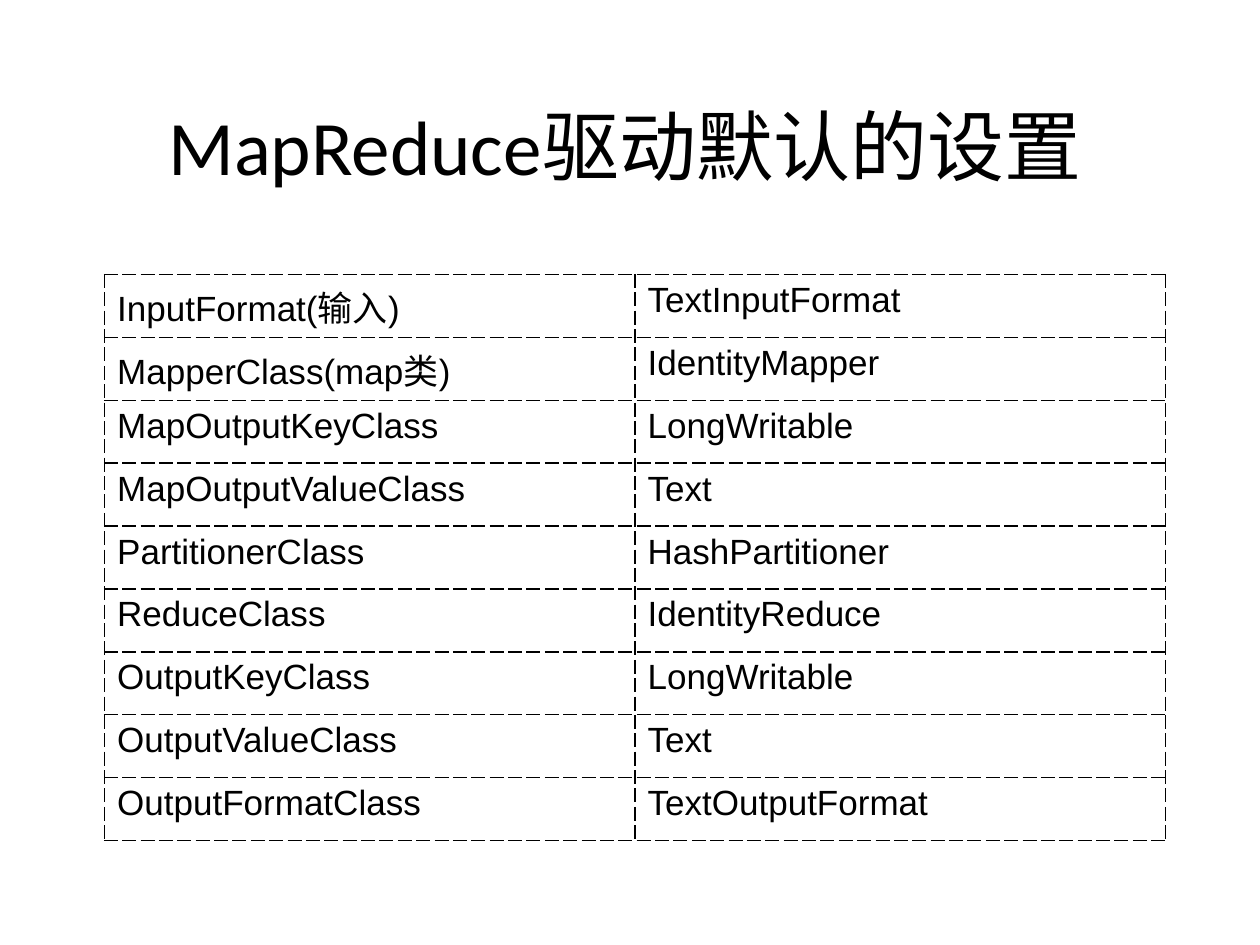
from typing import NamedTuple

from lxml import etree
from pptx import Presentation
from pptx.dml.color import RGBColor
from pptx.enum import text as t
from pptx.oxml import ns
from pptx.util import Inches, Pt

BLACK = RGBColor(0, 0, 0)
WHITE = RGBColor(255, 255, 255)


class Pair(NamedTuple):
    key: str
    value: str


PAIRS = [
    Pair("InputFormat(输入)", "TextInputFormat"),
    Pair("MapperClass(map类)", "IdentityMapper"),
    Pair("MapOutputKeyClass", "LongWritable"),
    Pair("MapOutputValueClass", "Text"),
    Pair("PartitionerClass", "HashPartitioner"),
    Pair("ReduceClass", "IdentityReduce"),
    Pair("OutputKeyClass", "LongWritable"),
    Pair("OutputValueClass", "Text"),
    Pair("OutputFormatClass", "TextOutputFormat"),
]


def set_font(para, name: str, size: int) -> None:
    para.font.name = name
    para.font.size = Pt(size)
    para.font.color.rgb = BLACK


def add_title(slide, words: str) -> None:
    box = slide.shapes.add_textbox(Inches(0.75), Inches(0.36), Inches(8.42), Inches(1.57))
    frame = box.text_frame
    frame.word_wrap = True
    frame.vertical_anchor = t.MSO_ANCHOR.MIDDLE
    para = frame.paragraphs[0]
    para.text = words
    para.alignment = t.PP_ALIGN.CENTER
    set_font(para, "Calibri", 44)


def add_edges(cell) -> None:
    """Give the cell a thin dashed line on all four sides."""
    props = cell._tc.get_or_add_tcPr()
    for i, side in enumerate(("lnL", "lnR", "lnT", "lnB")):
        line = etree.Element(ns.qn(f"a:{side}"), w=str(Pt(1)))
        fill = etree.SubElement(line, ns.qn("a:solidFill"))
        etree.SubElement(fill, ns.qn("a:srgbClr"), val=str(BLACK))
        etree.SubElement(line, ns.qn("a:prstDash"), val="sysDash")
        props.insert(i, line)  # edges come before the fill


def fill_cell(cell, words: str) -> None:
    cell.fill.background()
    para = cell.text_frame.paragraphs[0]
    para.text = words
    set_font(para, "Arial", 20)
    add_edges(cell)


def add_grid(slide, pairs: list[Pair]) -> None:
    frame = slide.shapes.add_table(
        len(pairs), 2, Inches(0.83), Inches(2.18), Inches(8.42), Inches(4.49))
    table = frame.table
    table.first_row = False
    table.horz_banding = False
    for r, pair in enumerate(pairs):
        for c, words in enumerate(pair):
            fill_cell(table.cell(r, c), words)


def main() -> None:
    deck = Presentation()
    deck.slide_width, deck.slide_height = Inches(10), Inches(7.5)
    slide = deck.slides.add_slide(deck.slide_layouts[6])
    slide.background.fill.solid()
    slide.background.fill.fore_color.rgb = WHITE

    # Title
    add_title(slide, "MapReduce驱动默认的设置")
    # Default settings
    add_grid(slide, PAIRS)

    deck.save("out.pptx")


if __name__ == "__main__":
    main()
